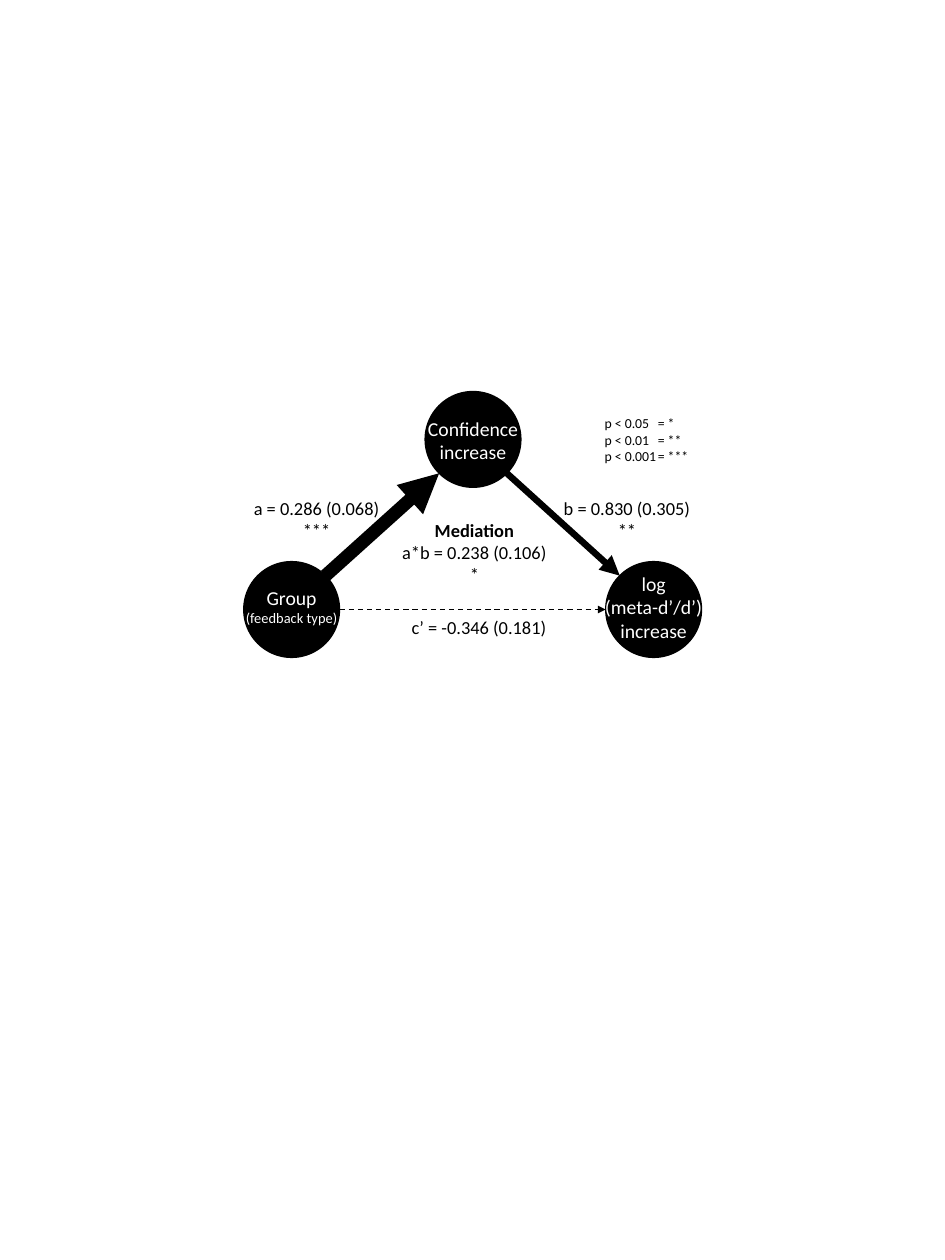
"""Mediation diagram: three variables joined by weighted paths."""
import math
from dataclasses import dataclass

from lxml import etree
from pptx import Presentation
from pptx.dml.color import RGBColor
from pptx.enum import dml, shapes, text
from pptx.oxml import ns
from pptx.util import Pt

COLORS = {"ink": "000000", "paper": "FFFFFF"}
FONT = "Calibri"
DIAMETER = 73
LABEL_WIDTH = 92
LEGEND_TAB = 40.5


@dataclass
class Line:
    """One paragraph of text with its size and weight."""
    words: str
    size: float = 14
    bold: bool = False


@dataclass
class Node:
    """A variable, drawn as a labelled circle around a centre."""
    x: float
    y: float
    lines: list[Line]
    label_top: float
    label_height: float

    def edge(self, degrees: float) -> tuple[float, float]:
        """Return the point of the circle at a clockwise angle from the right."""
        angle = math.radians(degrees)
        radius = DIAMETER / 2
        return self.x + radius * math.cos(angle), self.y + radius * math.sin(angle)


@dataclass
class Path:
    """An arrow from one node to another, leaving and arriving at angles."""
    start: Node
    start_angle: float
    end: Node
    end_angle: float
    width: float
    dashed: bool = False


@dataclass
class Note:
    """A block of text beside the paths."""
    left: float
    top: float
    width: float
    height: float
    lines: list[Line]


def add_text(slide, lines: list[Line], *, left: float, top: float, width: float,
             height: float, color: str = "ink", wrap: bool = False,
             align=text.PP_ALIGN.CENTER, tab: float | None = None):
    """Add a text box with one paragraph per line."""
    shape = slide.shapes.add_textbox(Pt(left), Pt(top), Pt(width), Pt(height))
    frame = shape.text_frame
    frame.word_wrap = wrap
    frame.auto_size = text.MSO_AUTO_SIZE.SHAPE_TO_FIT_TEXT
    for index, line in enumerate(lines):
        paragraph = frame.add_paragraph() if index else frame.paragraphs[0]
        paragraph.alignment = align
        if tab is not None:
            properties = paragraph._p.get_or_add_pPr()
            stops = etree.SubElement(properties, ns.qn("a:tabLst"))
            etree.SubElement(stops, ns.qn("a:tab"), pos=str(int(Pt(tab))), algn="l")
        run = paragraph.add_run()
        run.text = line.words
        run.font.name = FONT
        run.font.size = Pt(line.size)
        run.font.bold = line.bold
        run.font.color.rgb = RGBColor.from_string(COLORS[color])
    return shape


def add_circle(slide, node: Node) -> None:
    """Draw the filled circle of a node."""
    radius = DIAMETER / 2
    shape = slide.shapes.add_shape(
        shapes.MSO_SHAPE.OVAL, Pt(node.x - radius), Pt(node.y - radius),
        Pt(DIAMETER), Pt(DIAMETER))
    shape.shadow.inherit = False
    ink = RGBColor.from_string(COLORS["ink"])
    shape.fill.solid()
    shape.fill.fore_color.rgb = ink
    shape.line.color.rgb = ink
    shape.line.width = Pt(1)


def add_path(slide, path: Path) -> None:
    """Draw an arrow between the edges of two circles."""
    points = (*path.start.edge(path.start_angle), *path.end.edge(path.end_angle))
    connector = slide.shapes.add_connector(
        shapes.MSO_CONNECTOR.STRAIGHT, *(Pt(value) for value in points))
    connector.line.color.rgb = RGBColor.from_string(COLORS["ink"])
    connector.line.width = Pt(path.width)
    if path.dashed:
        connector.line.dash_style = dml.MSO_LINE.DASH
    outline = connector.line._get_or_add_ln()
    etree.SubElement(outline, ns.qn("a:tailEnd"), type="triangle")
    etree.SubElement(connector._element.spPr, ns.qn("a:effectLst"))


def main() -> None:
    """Build the slide and save it."""
    presentation = Presentation()
    presentation.slide_width, presentation.slide_height = Pt(720), Pt(960)
    slide = presentation.slides.add_slide(presentation.slide_layouts[6])

    confidence = Node(360.4, 334.8, [Line("Confidence increase", 15)], 313.9, 44)
    group = Node(222.2, 464.4, [Line("Group", 15), Line("(feedback type)", 11)],
                 442.8, 39.6)
    metacognition = Node(498, 464.4, [Line("log", 15),
                                      Line("(meta-d’/d’) increase", 15)], 432, 62)
    nodes = [confidence, group, metacognition]
    paths = [
        Path(group, -45, confidence, 135, 10),
        Path(confidence, 45, metacognition, -135, 5),
        Path(group, 0, metacognition, 180, 1, dashed=True),
    ]
    notes = [
        Note(185.8, 375.1, 110.9, 41, [Line("a = 0.286 (0.068)"), Line("***")]),
        Note(421.9, 375.1, 111.6, 41, [Line("b = 0.830 (0.305)"), Line("**")]),
        Note(306, 465.8, 118, 24.5, [Line("c’ = -0.346 (0.181)")]),
        Note(298.8, 391.7, 125.3, 58.3, [Line("Mediation", bold=True),
                                         Line("a*b = 0.238 (0.106)"), Line("*")]),
    ]
    legend = [Line(f"p < {level}\t= {stars}", 10.5) for level, stars in
              (("0.05", "*"), ("0.01", "**"), ("0.001", "***"))]

    for node in nodes:
        add_circle(slide, node)
    for path in paths:
        add_path(slide, path)
    for note in notes:
        add_text(slide, note.lines, left=note.left, top=note.top,
                 width=note.width, height=note.height)
    add_text(slide, legend, left=453.6, top=312.5, width=80.6, height=45.4,
             align=text.PP_ALIGN.LEFT, tab=LEGEND_TAB)
    for node in nodes:
        add_text(slide, node.lines, left=node.x - LABEL_WIDTH / 2,
                 top=node.label_top, width=LABEL_WIDTH, height=node.label_height,
                 color="paper", wrap=True)
    presentation.save("out.pptx")


main()
